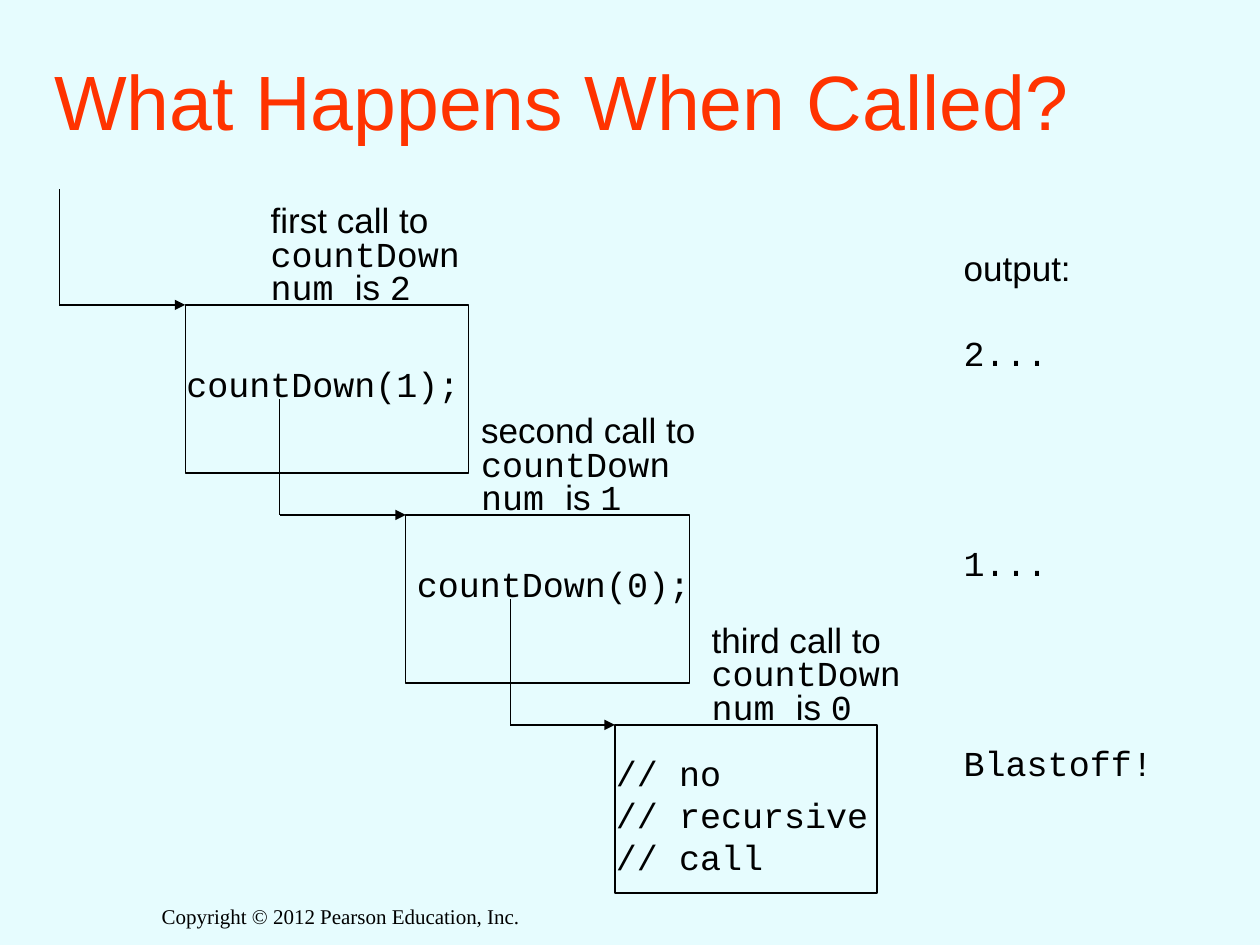
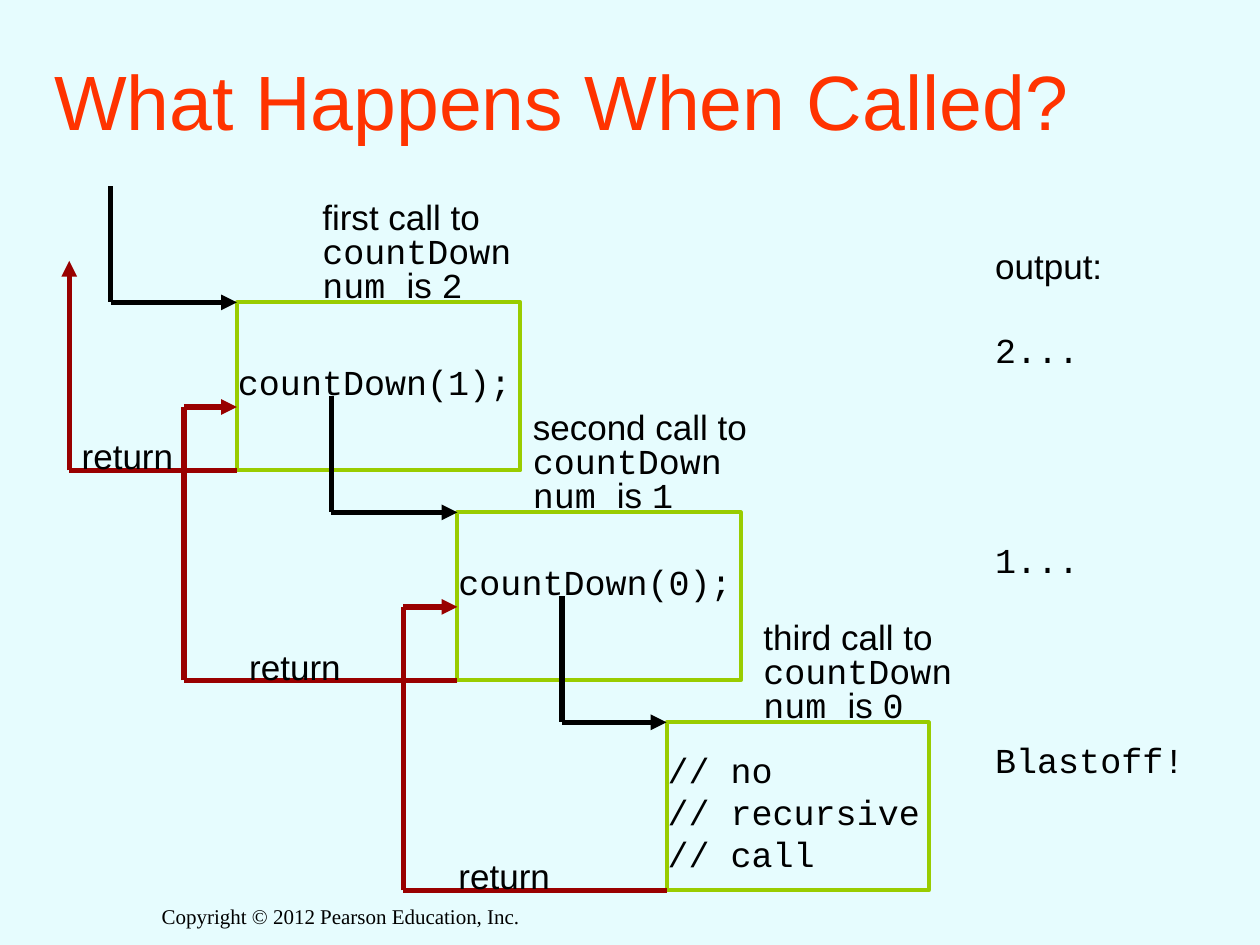
"""Builds two slides that trace the recursive calls of countDown."""
from itertools import pairwise

from lxml import etree
from pptx import Presentation
from pptx.dml.color import RGBColor
from pptx.enum.shapes import MSO_CONNECTOR, MSO_SHAPE
from pptx.enum.text import MSO_ANCHOR, MSO_AUTO_SIZE, PP_ALIGN
from pptx.oxml.ns import qn
from pptx.util import Inches, Pt

LINE, RECT = MSO_CONNECTOR.STRAIGHT, MSO_SHAPE.RECTANGLE
LEFT, CENTER, MIDDLE = PP_ALIGN.LEFT, PP_ALIGN.CENTER, MSO_ANCHOR.MIDDLE
NO_FIT = MSO_AUTO_SIZE.NONE
SANS, MONO, SERIF = "Arial", "Courier New", "Times New Roman"
BACK, RED, BLACK, GREEN, DARK = "E6FCFE", "FF3300", "000000", "99CC00", "990000"

TITLE = "What Happens When Called?"
FOOT = "Copyright © 2012 Pearson Education, Inc."
CALLS = [
    dict(rank="first", num="2", code=["countDown(1);"], out="2...",
         left=1.47, wide=2.25, label=0.58, drop=0.41, lane=1, rise=0.92, outdrop=0.16),
    dict(rank="second", num="1", code=["countDown(0);"], out="1...",
         left=3.22, wide=2.25, label=0.5, drop=0.33, lane=1, rise=0.92, outdrop=0.16),
    dict(rank="third", num="0", code=["// no", "// recursive", "// call"], out="Blastoff!",
         left=4.88, wide=2.08, label=0.67, drop=0.16, lane=0.83, rise=1, outdrop=0.08),
]
BACKS = [dict(lane=1.33, stop=-0.33, text=0), dict(lane=2.17, stop=0.83, text=0.42),
         dict(lane=2.09, stop=0.75, text=0.34)]
VIEWS = [
    dict(dx=0, dy=0, out=7.55, edge=BLACK, thin=0.75, thick=0.75, nudge=0.08, back=False),
    dict(dx=0.41, dy=-0.02, out=7.8, edge=GREEN, thin=2.25, thick=3, nudge=0, back=True),
]
TOP, STEP, HIGH = 2.42, 5 / 3, 4 / 3


def tint(code):
    return RGBColor.from_string(code)


def style(part, face, size, color):
    font = part.font
    font.name, font.size = face, Pt(size)
    font.color.rgb = tint(color)


def write(slide, x, y, wide, high, lines, space=None, size=20, align=LEFT):
    """Places lines, each a list of (text, face) runs."""
    frame = slide.shapes.add_textbox(*map(Inches, (x, y, wide, high))).text_frame
    frame.word_wrap = False
    for i, line in enumerate(lines):
        para = frame.add_paragraph() if i else frame.paragraphs[0]
        para.alignment = align
        if space:
            para.line_spacing = space
        for text, face in line:
            run = para.add_run()
            run.text = text
            style(run, face, size, BLACK)


def trace(slide, points, width, color):
    """Draws joined lines that end in an arrowhead."""
    legs = list(pairwise(points))
    for i, (start, end) in enumerate(legs):
        leg = slide.shapes.add_connector(LINE, *map(Inches, start + end))
        leg.line.width = Pt(width)
        leg.line.color.rgb = tint(color)
        if i == len(legs) - 1:
            etree.SubElement(leg.line._get_or_add_ln(), qn("a:tailEnd"), type="triangle")
        etree.SubElement(leg._element.spPr, qn("a:effectLst"))


def base(deck):
    """Adds a slide with its title and footer."""
    slide = deck.slides.add_slide(deck.slide_layouts[5])
    title = slide.shapes.title
    title.left, title.top, title.width, title.height = map(Inches, (0.33, 0.17, 8.5, 1.25))
    frame = title.text_frame
    frame.text = TITLE
    frame.auto_size, frame.vertical_anchor = NO_FIT, MIDDLE
    para = frame.paragraphs[0]
    para.alignment = LEFT
    style(para.runs[0], SANS, 44, RED)
    write(slide, 1.08, 7.12, 3.25, 0.3, [[(FOOT, SERIF)]], size=12, align=CENTER)
    return slide


def draw_call(slide, view, call, x, y, nudge):
    box = slide.shapes.add_shape(RECT, *map(Inches, (x, y, call["wide"], HIGH)))
    box.shadow.inherit = False
    box.fill.background()
    box.line.color.rgb = tint(view["edge"])
    box.line.width = Pt(view["thin"])
    label = [[(call["rank"] + " call to", SANS)], [("countDown", MONO)],
             [("num ", MONO), ("is ", SANS), (call["num"], MONO)]]
    write(slide, x + call["label"], y - 0.83, 1.95, 0.9, label, space=0.8)
    code = [[(line, MONO)] for line in call["code"]]
    write(slide, x - 0.09 + nudge, y + call["drop"], 2.45, 0.11 + 0.33 * len(code), code)
    write(slide, view["out"], y + call["outdrop"], 1.8, 0.44, [[(call["out"], MONO)]])
    lane = x - call["lane"]
    trace(slide, [(lane, y - call["rise"]), (lane, y), (x, y)], view["thick"], BLACK)


def draw_back(slide, view, i, spots):
    x, y = spots[i]
    back = BACKS[i]
    lane, low = x - back["lane"], y + HIGH
    home, top = spots[max(i - 1, 0)]
    stop = top + back["stop"]
    points = [(x, low), (lane, low), (lane, stop)]
    if i:
        points.append((home, stop))
    trace(slide, points, view["thick"], DARK)
    write(slide, lane + back["text"], low - 0.33, 1.1, 0.44, [[("return", SANS)]])


def main():
    deck = Presentation()
    deck.slide_width, deck.slide_height = Inches(10), Inches(7.5)
    fill = deck.slide_master.background.fill
    fill.solid()
    fill.fore_color.rgb = tint(BACK)
    for view in VIEWS:
        slide = base(deck)
        write(slide, view["out"], 1.91 + view["dy"], 1.2, 0.44, [[("output:", SANS)]])
        spots = [(call["left"] + view["dx"], TOP + view["dy"] + i * STEP)
                 for i, call in enumerate(CALLS)]
        for i, (call, spot) in enumerate(zip(CALLS, spots)):
            draw_call(slide, view, call, *spot, view["nudge"] if i == 1 else 0)
        if view["back"]:
            for i in reversed(range(len(BACKS))):
                draw_back(slide, view, i, spots)
    deck.save("out.pptx")


if __name__ == "__main__":
    main()
